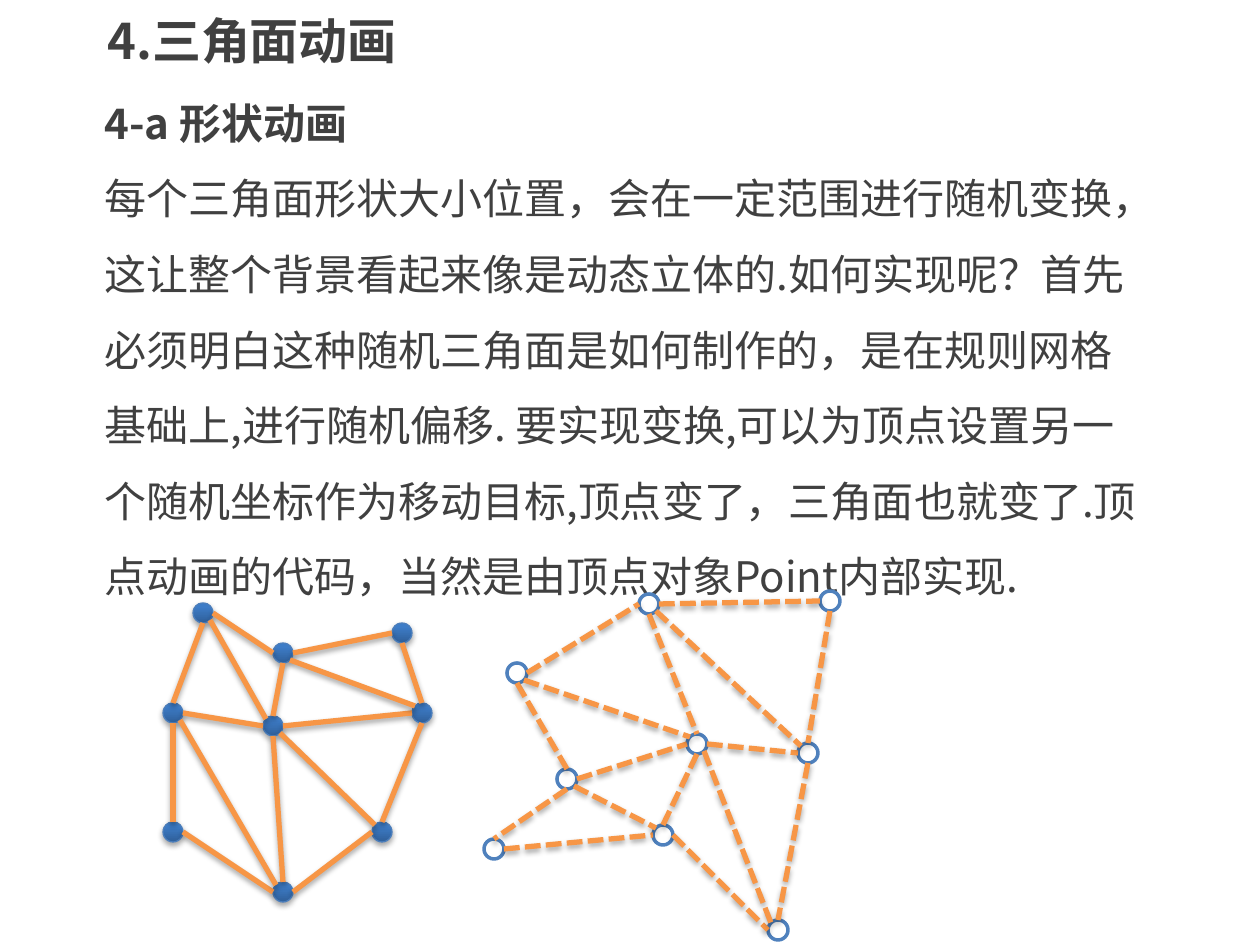
"""Build the slide on vertex animation of a triangle mesh."""
from dataclasses import dataclass

import pptx
import pptx.dml.color
import pptx.enum.dml
import pptx.enum.shapes
import pptx.enum.text
import pptx.oxml
import pptx.oxml.ns
import pptx.util
from lxml import etree

PIXEL = 914400 // 126
FONT = "Noto Sans CJK SC"
RADIUS = 10
DIAGONAL = 7

SITES = {
    "top": (0, -RADIUS),
    "bottom": (0, RADIUS),
    "left": (-RADIUS, 0),
    "right": (RADIUS, 0),
    "upper left": (-DIAGONAL, -DIAGONAL),
    "lower right": (DIAGONAL, DIAGONAL),
}

EDGES = {
    ("right", "left"): [(0, 2), (2, 4), (1, 3), (3, 5), (6, 7), (7, 8)],
    ("bottom", "top"): [(0, 1), (2, 3), (4, 5), (1, 6), (3, 7), (5, 8)],
    ("lower right", "upper left"): [(0, 3), (2, 5), (1, 7), (3, 8)],
}

SHADOW = (
    f'<a:effectLst {pptx.oxml.ns.nsdecls("a")}>'
    '<a:outerShdw blurRad="40000" dist="23000" dir="5400000" rotWithShape="0">'
    '<a:srgbClr val="000000"><a:alpha val="35000"/></a:srgbClr>'
    "</a:outerShdw></a:effectLst>"
)


@dataclass(frozen=True)
class TextLine:
    """One paragraph with its size and weight."""

    text: str
    size: int
    bold: bool = False
    spacing: float = 1.0


@dataclass(frozen=True)
class Mesh:
    """Vertex centres in pixels and the style of a mesh."""

    vertices: tuple[tuple[int, int], ...]
    outline: str
    outline_width: float
    solid: bool


MESHES = (
    Mesh(((203, 613), (173, 713), (283, 653), (273, 726), (402, 633),
          (422, 713), (173, 832), (283, 892), (382, 832)), "4B7EBC", 0.75, True),
    Mesh(((517, 673), (567, 779), (649, 604), (697, 744), (830, 601),
          (808, 753), (494, 849), (663, 835), (778, 930)), "4F81BD", 2, False),
)

TITLE = [TextLine("4.三角面动画", 28, True)]
BODY = [
    TextLine("4-a 形状动画", 24, True, 1.5),
    TextLine(
        "每个三角面形状大小位置，会在一定范围进行随机变换，"
        "这让整个背景看起来像是动态立体的.如何实现呢？首先"
        "必须明白这种随机三角面是如何制作的，是在规则网格"
        "基础上,进行随机偏移. 要实现变换,可以为顶点设置另"
        "一个随机坐标作为移动目标,顶点变了，三角面也就变了."
        "顶点动画的代码，当然是由顶点对象Point内部实现.",
        24, spacing=1.5),
]


def px(*lengths: int) -> list[int]:
    """Turn pixels into EMU."""
    return [length * PIXEL for length in lengths]


def paint(color_format, value: str) -> None:
    """Set a colour from a hex string."""
    color_format.rgb = pptx.dml.color.RGBColor.from_string(value)


def add_shadow(shape) -> None:
    """Give a shape or connector a soft shadow below it."""
    properties = shape._element.spPr
    for effects in properties.findall(pptx.oxml.ns.qn("a:effectLst")):
        properties.remove(effects)
    properties.append(pptx.oxml.parse_xml(SHADOW))


def add_text(slide, left: int, top: int, width: int, height: int,
             lines: list[TextLine]) -> None:
    """Add a wrapping text box."""
    frame = slide.shapes.add_textbox(*px(left, top, width, height)).text_frame
    frame.word_wrap = True
    frame.auto_size = pptx.enum.text.MSO_AUTO_SIZE.SHAPE_TO_FIT_TEXT
    for index, line in enumerate(lines):
        paragraph = frame.add_paragraph() if index else frame.paragraphs[0]
        paragraph.text = line.text
        paragraph.line_spacing = line.spacing
        font = paragraph.font
        font.size = pptx.util.Pt(line.size)
        font.bold = line.bold
        paint(font.color, "404040")
        font.name = FONT
        defaults = paragraph._p.pPr.find(pptx.oxml.ns.qn("a:defRPr"))
        etree.SubElement(defaults, pptx.oxml.ns.qn("a:ea"), typeface=FONT)


def add_vertex(slide, mesh: Mesh, x: int, y: int) -> None:
    """Add a round vertex around its centre."""
    shape = slide.shapes.add_shape(
        pptx.enum.shapes.MSO_SHAPE.OVAL,
        *px(x - RADIUS, y - RADIUS, 2 * RADIUS, 2 * RADIUS))
    shape.shadow.inherit = False
    if mesh.solid:
        shape.fill.gradient()
        shape.fill.gradient_angle = 90
        stops = ((0, "2F5F99"), (0.8, "3D7CC7"))
        for stop, (position, color) in zip(shape.fill.gradient_stops, stops):
            stop.position = position
            paint(stop.color, color)
    else:
        shape.fill.solid()
        paint(shape.fill.fore_color, "FFFFFF")
    paint(shape.line.color, mesh.outline)
    shape.line.width = pptx.util.Pt(mesh.outline_width)
    if mesh.solid:
        add_shadow(shape)


def add_edge(slide, mesh: Mesh, start: tuple[int, int], end: tuple[int, int]) -> None:
    """Add a line between two points."""
    connector = slide.shapes.add_connector(
        pptx.enum.shapes.MSO_CONNECTOR.STRAIGHT, *px(*start, *end))
    paint(connector.line.color, "F79646")
    connector.line.width = pptx.util.Pt(3)
    if not mesh.solid:
        connector.line.dash_style = pptx.enum.dml.MSO_LINE.SQUARE_DOT
    add_shadow(connector)


def site(mesh: Mesh, vertex: int, side: str) -> tuple[int, int]:
    """Find the point on one side of a vertex."""
    (x, y), (dx, dy) = mesh.vertices[vertex], SITES[side]
    return x + dx, y + dy


def add_mesh(slide, mesh: Mesh) -> None:
    """Add the vertices of a mesh and then its edges."""
    for x, y in mesh.vertices:
        add_vertex(slide, mesh, x, y)
    for (start_side, end_side), pairs in EDGES.items():
        for start, end in pairs:
            add_edge(slide, mesh, site(mesh, start, start_side), site(mesh, end, end_side))


def main() -> None:
    """Build and save the presentation."""
    presentation = pptx.Presentation()
    presentation.slide_width, presentation.slide_height = px(1260, 945)
    slide = presentation.slides.add_slide(presentation.slide_layouts[6])
    add_text(slide, 95, 4, 1071, 72, TITLE)
    add_text(slide, 92, 66, 1071, 547, BODY)
    for mesh in MESHES:
        add_mesh(slide, mesh)
    presentation.save("out.pptx")


main()
